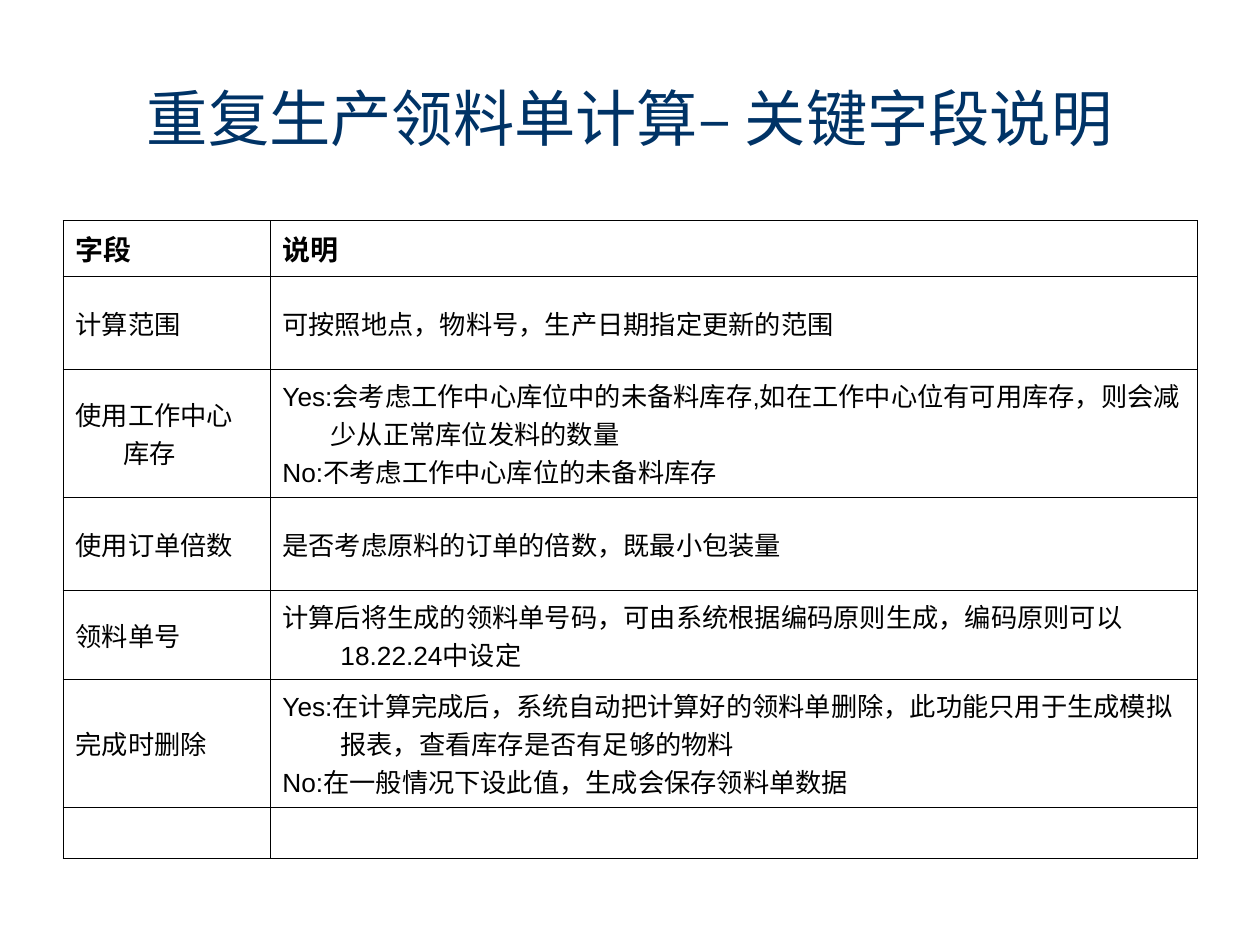
from dataclasses import dataclass

from lxml import etree
from pptx import Presentation
from pptx.dml.color import RGBColor
from pptx.enum.text import MSO_ANCHOR, MSO_AUTO_SIZE, PP_ALIGN
from pptx.oxml.ns import qn
from pptx.slide import Slide
from pptx.table import _Cell
from pptx.text.text import _Paragraph
from pptx.util import Cm, Length, Pt

MIDDLE = MSO_ANCHOR.MIDDLE
NO_AUTOFIT = MSO_AUTO_SIZE.NONE
CENTER = PP_ALIGN.CENTER


@dataclass(frozen=True)
class TextStyle:
    size: float
    latin: str
    color: str
    bold: bool = False
    east_asian: str = "Noto Sans CJK SC"


@dataclass(frozen=True)
class Theme:
    title: TextStyle = TextStyle(35, "Montserrat", "003366")
    header: TextStyle = TextStyle(16, "Noto Sans CJK SC", "000000", True)
    body: TextStyle = TextStyle(15, "Arial", "000000")
    border: str = "000000"
    border_width: Length = Pt(0.45)


@dataclass(frozen=True)
class FieldRow:
    height: float
    field: str
    description: str
    indent: float = 0.97


THEME = Theme()
TITLE = "重复生产领料单计算– 关键字段说明"
LEFT, WIDTH = Cm(1.27), Cm(22.86)
COLUMN_WIDTHS = (Cm(4.17), Cm(18.69))
ROWS = (
    FieldRow(1.12, "字段", "说明"),
    FieldRow(1.88, "计算范围", "可按照地点，物料号，生产日期指定更新的范围"),
    FieldRow(
        2.57,
        "使用工作中心库存",
        "Yes:会考虑工作中心库位中的未备料库存,如在工作中心位有可用库存，"
        "则会减少从正常库位发料的数量\n"
        "No:不考虑工作中心库位的未备料库存",
    ),
    FieldRow(1.88, "使用订单倍数", "是否考虑原料的订单的倍数，既最小包装量"),
    FieldRow(
        1.8,
        "领料单号",
        "计算后将生成的领料单号码，可由系统根据编码原则生成，"
        "编码原则可以18.22.24中设定",
        1.17,
    ),
    FieldRow(
        2.57,
        "完成时删除",
        "Yes:在计算完成后，系统自动把计算好的领料单删除，"
        "此功能只用于生成模拟报表，查看库存是否有足够的物料\n"
        "No:在一般情况下设此值，生成会保存领料单数据",
        1.17,
    ),
    FieldRow(0.86, "", ""),
)


def format_runs(p: _Paragraph, style: TextStyle) -> None:
    """Apply a text style to every run of a paragraph."""
    for r in p.runs:
        r.font.size = Pt(style.size)
        r.font.bold = style.bold
        r.font.name = style.latin
        r.font.color.rgb = RGBColor.from_string(style.color)
        latin = r.font._element.find(qn("a:latin"))
        ea = etree.Element(qn("a:ea"), typeface=style.east_asian)
        latin.addnext(ea)


def draw_borders(cell: _Cell) -> None:
    """Draw a thin line on all four sides of a cell."""
    tc_pr = cell._tc.get_or_add_tcPr()
    for i, side in enumerate(("lnL", "lnR", "lnT", "lnB")):
        ln = etree.Element(qn(f"a:{side}"), w=str(THEME.border_width))
        fill = etree.SubElement(ln, qn("a:solidFill"))
        etree.SubElement(fill, qn("a:srgbClr"), val=THEME.border)
        tc_pr.insert(i, ln)


def fill_cell(cell: _Cell, text: str, style: TextStyle, indent: Length) -> None:
    """Write hanging-indent text into an unfilled, bordered cell."""
    cell.fill.background()
    draw_borders(cell)
    cell.vertical_anchor = MIDDLE
    cell.text_frame.text = text
    for p in cell.text_frame.paragraphs:
        p_pr = p._p.get_or_add_pPr()
        p_pr.set("marL", str(indent))
        p_pr.set("indent", str(-indent))
        format_runs(p, style)


def add_title(s: Slide) -> None:
    """Place and format the slide title."""
    sp = s.shapes.title
    sp.left, sp.top, sp.width, sp.height = LEFT, Cm(0.76), WIDTH, Cm(3.18)
    tf = sp.text_frame
    tf.text = TITLE
    tf.word_wrap = True
    tf.auto_size = NO_AUTOFIT
    tf.vertical_anchor = MIDDLE
    p = tf.paragraphs[0]
    p.alignment = CENTER
    format_runs(p, THEME.title)


def add_field_table(s: Slide) -> None:
    """Add the table of fields and their descriptions."""
    height = Cm(sum(row.height for row in ROWS))
    table = s.shapes.add_table(
        len(ROWS), len(COLUMN_WIDTHS), LEFT, Cm(4.45), WIDTH, height
    ).table
    table.first_row = table.horz_banding = False
    for column, width in zip(table.columns, COLUMN_WIDTHS):
        column.width = width
    for i, row in enumerate(ROWS):
        table.rows[i].height = Cm(row.height)
        style = THEME.body if i else THEME.header
        fill_cell(table.cell(i, 0), row.field, style, Cm(0.97))
        fill_cell(table.cell(i, 1), row.description, style, Cm(row.indent))


def main() -> None:
    """Build and save the slide."""
    prs = Presentation()
    prs.slide_width, prs.slide_height = Cm(25.4), Cm(19.05)
    s = prs.slides.add_slide(prs.slide_layouts[5])
    add_title(s)
    add_field_table(s)
    prs.save("out.pptx")


if __name__ == "__main__":
    main()
